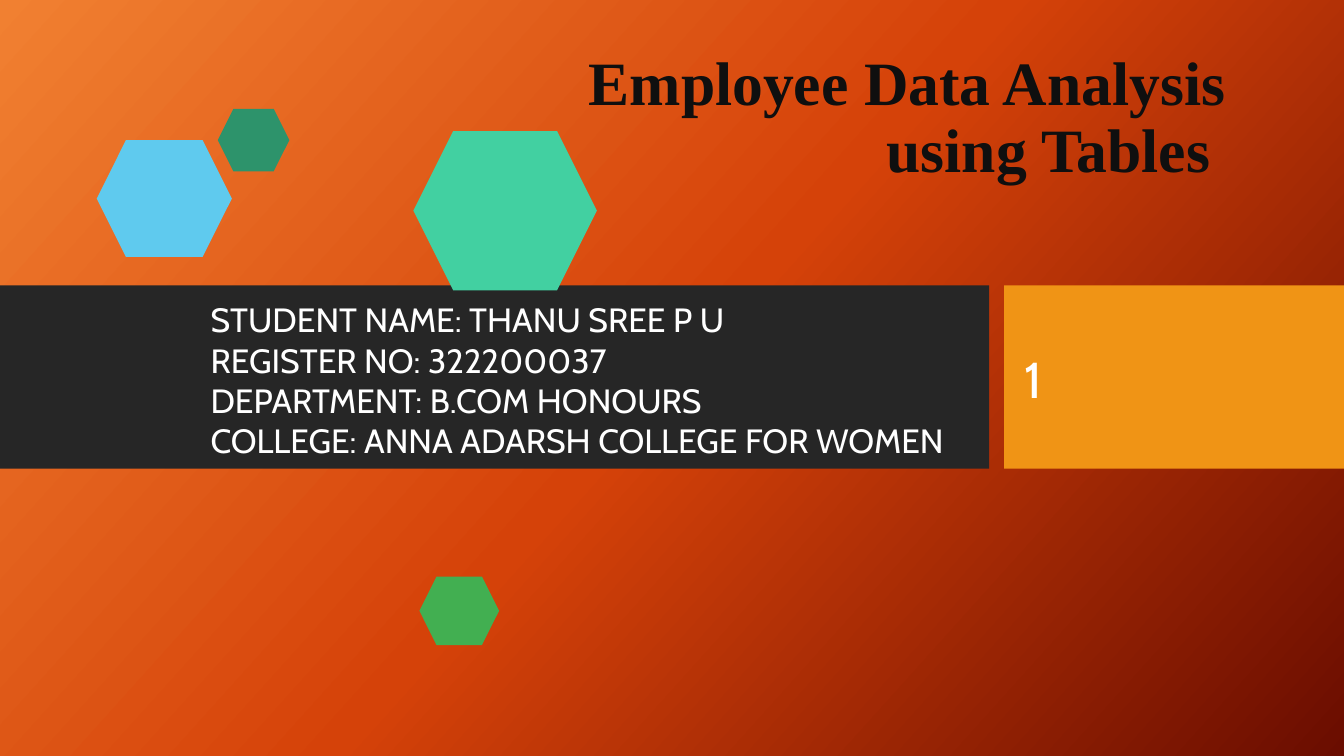
"""Build the title slide of an employee data analysis presentation."""
from copy import deepcopy

from pptx import Presentation
from pptx.dml.color import RGBColor
from pptx.enum.shapes import MSO_SHAPE as SHAPE
from pptx.enum.text import MSO_ANCHOR as ANCHOR, MSO_AUTO_SIZE as AUTO, PP_ALIGN as ALIGN
from pptx.oxml.ns import qn
from pptx.util import Inches, Pt


def rgb(value):
    return RGBColor.from_string(value)


def write(shape, text, font, size, color, anchor, bold=False):
    tf = shape.text_frame
    tf.text = text
    tf.word_wrap = True
    tf.auto_size = AUTO.NONE
    tf.vertical_anchor = anchor
    for p in tf.paragraphs:
        for r in p.runs:
            r.font.name = font
            r.font.size = Pt(size)
            r.font.bold = bold
            r.font.color.rgb = rgb(color)
    return tf


prs = Presentation()
prs.slide_width, prs.slide_height = Inches(13.33), Inches(7.5)
s = prs.slides.add_slide(prs.slide_layouts[5])

fill = s.background.fill
fill.gradient()
fill.gradient_angle = 318
stop_list = s._element.find(".//" + qn("a:gsLst"))
stop_list.append(deepcopy(stop_list[-1]))
stops = [(0, "F18031"), (0.5, "D54209"), (1, "6A0D00")]
for stop, (position, color) in zip(fill.gradient_stops, stops):
    stop.position = position
    stop.color.rgb = rgb(color)

shapes = [
    (SHAPE.RECTANGLE, 0, 2.83, 9.81, 1.82, "262626"),
    (SHAPE.RECTANGLE, 9.96, 2.83, 3.37, 1.82, "F09415"),
    (SHAPE.HEXAGON, 0.96, 1.39, 1.34, 1.16, "5FCAEE"),
    (SHAPE.HEXAGON, 2.16, 1.08, 0.71, 0.62, "2D936B"),
    (SHAPE.HEXAGON, 4.1, 1.3, 1.82, 1.58, "42D0A1"),
    (SHAPE.HEXAGON, 4.16, 5.72, 0.79, 0.68, "42AF51"),
]
for kind, x, y, w, h, color in shapes:
    sp = s.shapes.add_shape(kind, Inches(x), Inches(y), Inches(w), Inches(h))
    sp.shadow.inherit = False
    sp.fill.solid()
    sp.fill.fore_color.rgb = rgb(color)
    sp.line.fill.background()

title = s.shapes.title
title.left, title.top = Inches(4.75), Inches(0.34)
title.width, title.height = Inches(7.41), Inches(1.5)
tf = write(title, "Employee Data Analysis using Tables ", "Times New Roman", 44,
           "0F0F0F", ANCHOR.BOTTOM, bold=True)
tf.margin_left = tf.margin_right = tf.margin_top = tf.margin_bottom = 0
tf.paragraphs[0].alignment = ALIGN.RIGHT
tf.paragraphs[0].line_spacing = 0.9

number = s.shapes.add_textbox(Inches(10.16), Inches(3.01), Inches(1.24), Inches(1.48))
tf = write(number, "1", "Cabin", 36, "FFFFFF", ANCHOR.MIDDLE)
tf.margin_left = tf.margin_right = tf.margin_top = tf.margin_bottom = 0

details = [
    "STUDENT NAME: THANU SREE P U",
    "REGISTER NO: 322200037",
    "DEPARTMENT: B.COM HONOURS",
    "COLLEGE: ANNA ADARSH COLLEGE FOR WOMEN",
]
student = s.shapes.add_textbox(Inches(1.99), Inches(2.92), Inches(9.42), Inches(1.72))
write(student, "\n".join(details), "Cabin", 24, "FFFFFF", ANCHOR.TOP)

prs.save("out.pptx")
